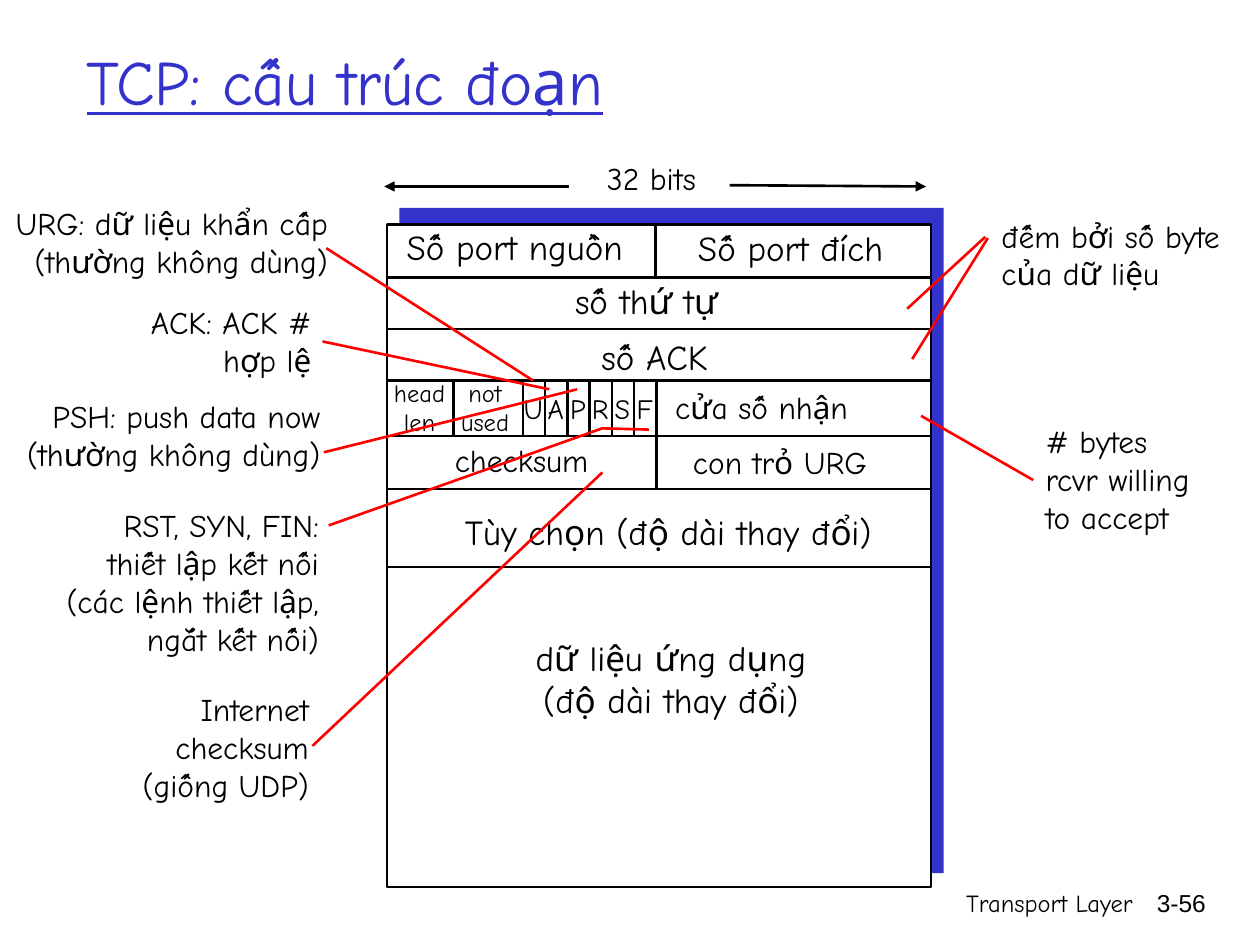
from dataclasses import dataclass

from lxml.etree import SubElement
from pptx import Presentation
from pptx.dml.color import RGBColor
from pptx.enum.shapes import MSO_CONNECTOR, MSO_SHAPE
from pptx.enum.text import MSO_ANCHOR, MSO_AUTO_SIZE, PP_ALIGN
from pptx.oxml.ns import qn
from pptx.util import Inches, Pt

BLACK = RGBColor(0x00, 0x00, 0x00)
WHITE = RGBColor(0xFF, 0xFF, 0xFF)
BLUE = RGBColor(0x33, 0x33, 0xCC)
RED = RGBColor(0xFF, 0x00, 0x00)

LEFT, CENTER, RIGHT = PP_ALIGN.LEFT, PP_ALIGN.CENTER, PP_ALIGN.RIGHT
SIDE_MARGINS = {LEFT: (1, 0), CENTER: (0.2, 0.2), RIGHT: (0, 1)}

prs = Presentation()
prs.slide_width = Inches(10)
prs.slide_height = Inches(7.5)
COL = prs.slide_width / 100
ROW = prs.slide_height / 75
s = prs.slides.add_slide(prs.slide_layouts[6])


@dataclass
class Label:
    text: str
    x: float
    y: float
    w: float
    h: float
    size: int = 18
    align: PP_ALIGN = CENTER
    wrap: bool = False
    font: str = "Comic Neue"
    color: RGBColor = BLACK
    underline: bool = False
    anchor: MSO_ANCHOR = MSO_ANCHOR.TOP


@dataclass
class Line:
    x1: float
    y1: float
    x2: float
    y2: float
    color: RGBColor = BLACK
    arrow: bool = False


def col(n: float) -> int:
    return round(n * COL)


def row(n: float) -> int:
    return round(n * ROW)


def draw_label(label: Label) -> None:
    box = s.shapes.add_textbox(col(label.x), row(label.y), col(label.w), row(label.h))
    tf = box.text_frame
    tf.text = label.text
    tf.word_wrap = label.wrap
    tf.auto_size = MSO_AUTO_SIZE.NONE
    tf.vertical_anchor = label.anchor
    tf.margin_left, tf.margin_right = [col(m) for m in SIDE_MARGINS[label.align]]
    for p in tf.paragraphs:
        p.alignment = label.align
        for r in p.runs:
            r.font.name = label.font
            r.font.size = Pt(label.size)
            r.font.color.rgb = label.color
            r.font.underline = label.underline


def draw_line(line: Line) -> None:
    c = s.shapes.add_connector(
        MSO_CONNECTOR.STRAIGHT, col(line.x1), row(line.y1), col(line.x2), row(line.y2)
    )
    c.line.color.rgb = line.color
    c.line.width = Pt(1.5)
    spPr = c._element.spPr
    if line.arrow:
        SubElement(spPr.find(qn("a:ln")), qn("a:tailEnd"), type="triangle")
    SubElement(spPr, qn("a:effectLst"))


def draw_rect(x: float, y: float, w: float, h: float, fill: RGBColor, outlined: bool) -> None:
    sp = s.shapes.add_shape(MSO_SHAPE.RECTANGLE, col(x), row(y), col(w), row(h))
    sp.shadow.inherit = False
    sp.fill.solid()
    sp.fill.fore_color.rgb = fill
    if outlined:
        sp.line.color.rgb = BLACK
        sp.line.width = Pt(1.5)
    else:
        sp.line.fill.background()


def draw_polyline(points: list[tuple[float, float]], color: RGBColor) -> None:
    start, *rest = [(col(x), row(y)) for x, y in points]
    fb = s.shapes.build_freeform(*start)
    fb.add_line_segments(rest, close=False)
    sp = fb.convert_to_shape()
    sp.shadow.inherit = False
    sp.fill.background()
    sp.line.color.rgb = color
    sp.line.width = Pt(1.5)


SEG_LEFT, SEG_TOP, SEG_W, SEG_H = 30.7, 17.8, 43.2, 52.6
SEG_RIGHT = SEG_LEFT + SEG_W
PORTS_END, SEQ_END, ACK_END, FLAGS_END, SUM_END, OPTIONS_END = 22, 26.1, 30.2, 34.6, 38.8, 45
FLAGS = "UAPRSF"
FLAGS_LEFT, HALF = 41.5, 52.1
FLAG_W = (HALF - FLAGS_LEFT) / len(FLAGS)

labels = [
    Label("Transport Layer", 59.2, 70, 31.7, 5, 14, RIGHT, True),
    Label("3-56", 89.3, 70, 7.4, 5, 14, RIGHT, True, "Arial"),
    Label("TCP: cấu trúc đoạn", 5.9, 2.1, 85, 8.5, 36, LEFT, True,
          color=BLUE, underline=True, anchor=MSO_ANCHOR.MIDDLE),
    Label("32 bits", 47.2, 12.1, 9, 4),
    Label("Số port nguồn", 31.3, 17.4, 19.1, 4.4, 20),
    Label("Số port đích", 54.4, 17.5, 16.7, 4.4, 20),
    Label("số thứ tự", 37.7, 21.7, 27.2, 4.4, 20, wrap=True),
    Label("số ACK", 33.3, 26.1, 37.3, 4.4, 20, wrap=True),
    Label("head\nlen", 30.3, 29.5, 6, 5.7, 14),
    Label("not\nused", 35.6, 29.5, 5.8, 5.7, 14),
    Label("cửa số nhận", 52.6, 30.3, 15.7, 4),
    Label("checksum", 35.1, 34.5, 12.6, 4),
    Label("con trỏ URG", 54, 34.7, 15.8, 4),
    Label("Tùy chọn (độ dài thay đổi)", 35.9, 40, 34.3, 4.4, 20),
    Label("dữ liệu ứng dụng\n(độ dài thay đổi)", 41.5, 50, 23.5, 7.7, 20),
    Label("URG: dữ liệu khẩn cấp\n(thường không dùng)", 0.3, 15.7, 26.7, 7, align=RIGHT),
    Label("ACK: ACK #\nhợp lệ", 11, 23.6, 14.7, 7, align=RIGHT),
    Label("PSH: push data now\n(thường không dùng)", 1.2, 31, 25.2, 7, align=RIGHT),
    Label("RST, SYN, FIN:\nthiết lập kết nối\n(các lệnh thiết lập,\nngắt kết nối)",
          4.3, 39.7, 22, 13, align=RIGHT),
    Label("Internet\nchecksum\n(giống UDP)", 10.3, 54.3, 15.2, 10, align=RIGHT),
    Label("đếm bởi số byte\ncủa dữ liệu", 78.5, 16.7, 19.4, 7, align=LEFT),
    Label("# bytes\nrcvr willing\nto accept", 82, 33, 13.5, 10, align=LEFT),
]
labels += [
    Label(flag, FLAGS_LEFT + (i + 0.5) * FLAG_W - 1.7, 30.6, 3.3, 3.7, 16)
    for i, flag in enumerate(FLAGS)
]

lines = [
    Line(SEG_LEFT, y, SEG_RIGHT, y)
    for y in (PORTS_END, SEQ_END, ACK_END, FLAGS_END, SUM_END, OPTIONS_END)
]
lines += [
    Line(x, ACK_END, x, FLAGS_END)
    for x in [36] + [FLAGS_LEFT + i * FLAG_W for i in range(len(FLAGS))]
]
lines += [
    Line(52, SEG_TOP, 52, PORTS_END),
    Line(HALF, ACK_END, HALF, SUM_END),
    Line(57.9, 14.7, 73.5, 14.8, arrow=True),
    Line(45.2, 14.8, 30.5, 14.8, arrow=True),
    Line(25.9, 19.7, 42.3, 30.2, RED),
    Line(25.6, 27.1, 43.6, 30.9, RED),
    Line(25.7, 35.9, 45.8, 30.9, RED),
    Line(24.8, 59.2, 47.8, 37.5, RED),
    Line(82, 38.1, 73.1, 33, RED),
    Line(78.4, 18.9, 72.4, 28.5, RED),
    Line(78.2, 18.8, 72, 24.5, RED),
]

draw_rect(31.7, 16.5, SEG_W, 52.8, BLUE, False)
draw_rect(SEG_LEFT, SEG_TOP, SEG_W, SEG_H, WHITE, True)
for label in labels:
    draw_label(label)
for line in lines:
    draw_line(line)
draw_polyline([(26.1, 41.7), (47.8, 34), (51.5, 34.1)], RED)

prs.save("out.pptx")
